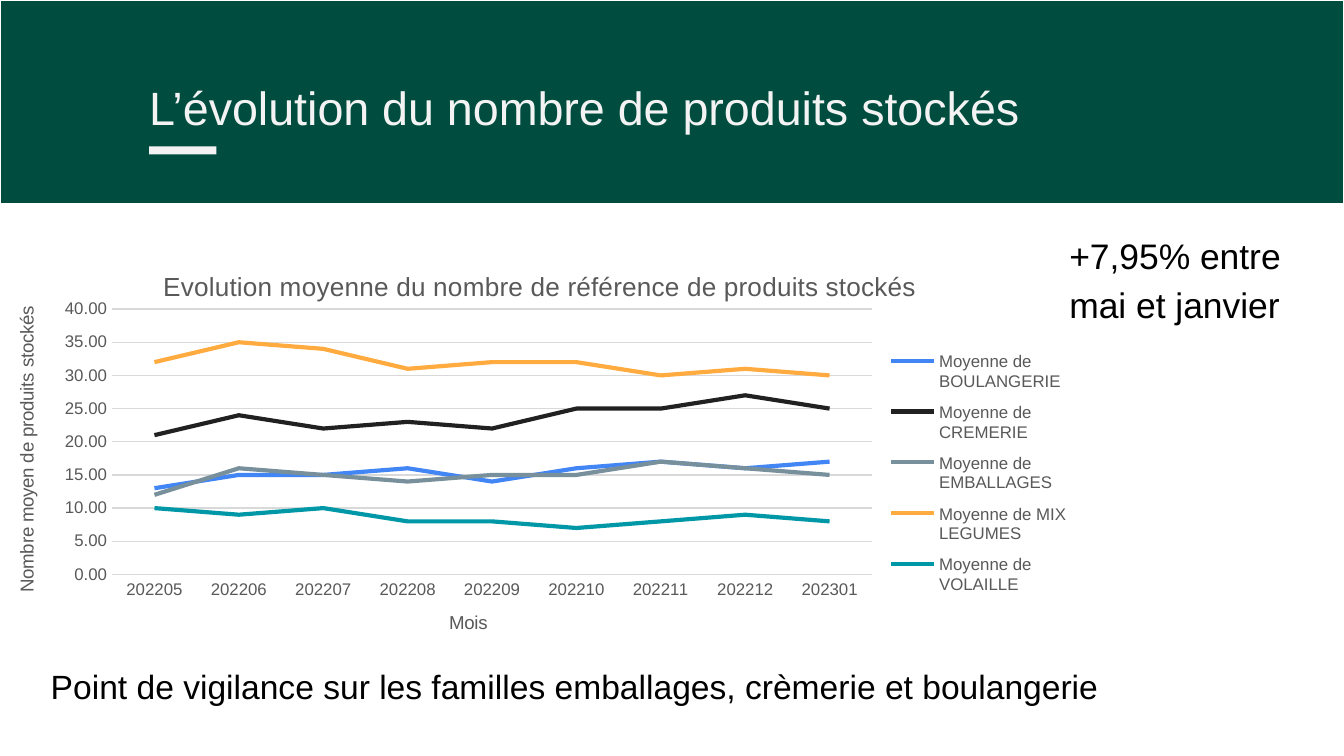
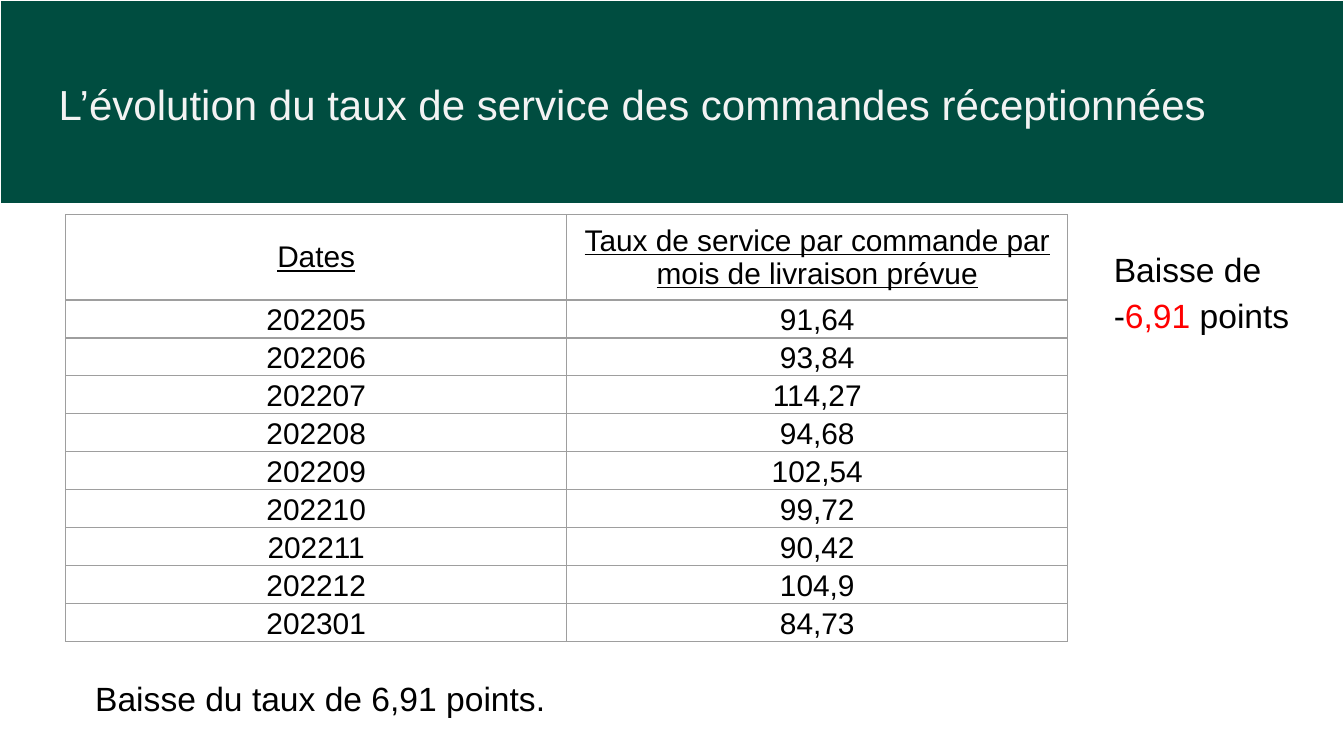
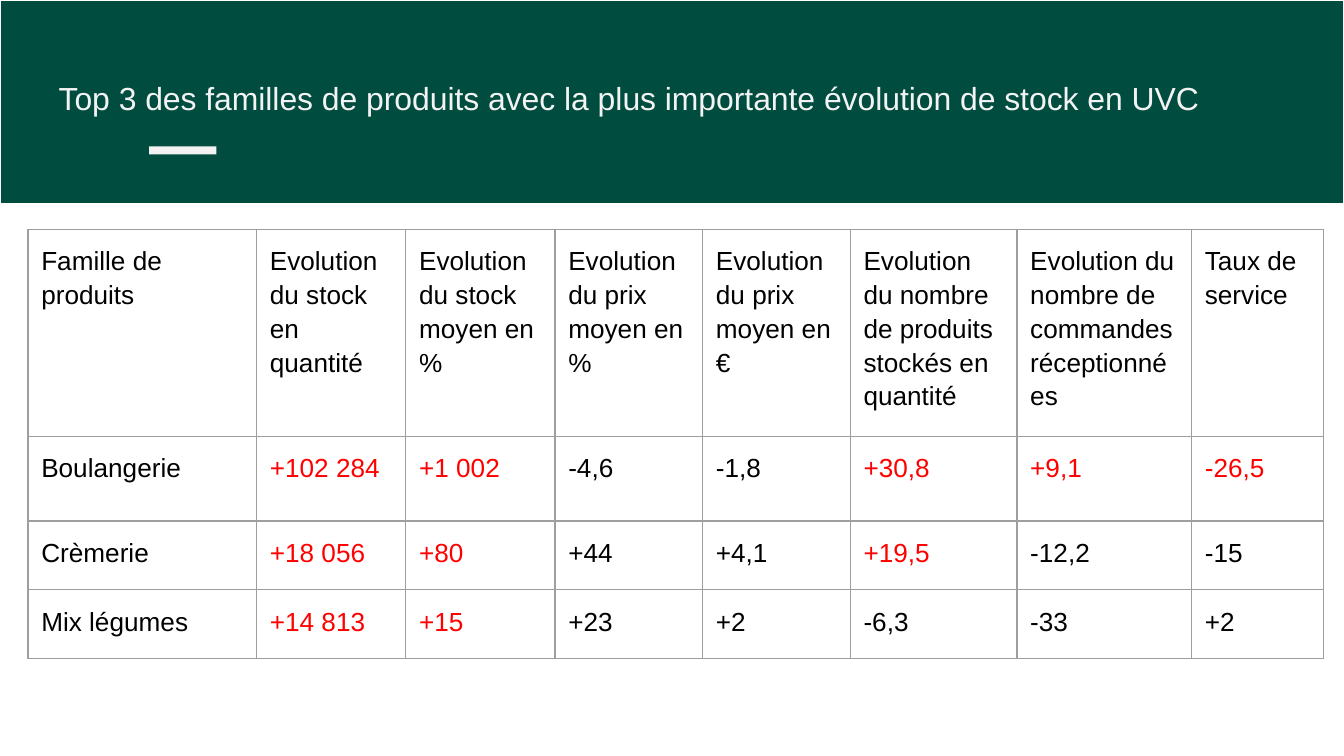
from lxml.etree import SubElement
from pptx import Presentation
from pptx.chart.data import CategoryChartData
from pptx.dml.color import RGBColor
from pptx.enum.chart import XL_CHART_TYPE, XL_LEGEND_POSITION, XL_TICK_MARK
from pptx.enum.shapes import MSO_SHAPE
from pptx.enum.text import MSO_ANCHOR, PP_ALIGN
from pptx.oxml.ns import qn
from pptx.util import Cm, Pt

GREEN = RGBColor(0x00, 0x4D, 0x40)
WHITE = RGBColor(0xFF, 0xFF, 0xFF)
OFF_WHITE = RGBColor(0xF3, 0xF3, 0xF3)
BLACK = RGBColor(0x00, 0x00, 0x00)
RED = RGBColor(0xFF, 0x00, 0x00)
GREY = RGBColor(0x59, 0x59, 0x59)
GRID = RGBColor(0xD9, 0xD9, 0xD9)
BORDER = RGBColor(0x9E, 0x9E, 0x9E)
FONT = "Arial"
INSET = 0.25

MONTHS = ["202205", "202206", "202207", "202208", "202209",
          "202210", "202211", "202212", "202301"]
STOCK_SERIES = [
    ("Moyenne de BOULANGERIE", (13, 15, 15, 16, 14, 16, 17, 16, 17), RGBColor(0x42, 0x85, 0xF4)),
    ("Moyenne de CREMERIE", (21, 24, 22, 23, 22, 25, 25, 27, 25), RGBColor(0x21, 0x21, 0x21)),
    ("Moyenne de EMBALLAGES", (12, 16, 15, 14, 15, 15, 17, 16, 15), RGBColor(0x78, 0x90, 0x9C)),
    ("Moyenne de MIX LEGUMES", (32, 35, 34, 31, 32, 32, 30, 31, 30), RGBColor(0xFF, 0xAB, 0x40)),
    ("Moyenne de VOLAILLE", (10, 9, 10, 8, 8, 7, 8, 9, 8), RGBColor(0x00, 0x97, 0xA7)),
]
SERVICE_HEADERS = ["Dates", "Taux de service par commande par mois de livraison prévue"]
SERVICE_RATES = ["91,64", "93,84", "114,27", "94,68", "102,54",
                 "99,72", "90,42", "104,9", "84,73"]
FAMILY_HEADERS = [
    "Famille de produits", "Evolution du stock en quantité", "Evolution du stock moyen en %",
    "Evolution du prix moyen en %", "Evolution du prix moyen en €",
    "Evolution du nombre de produits stockés en quantité",
    "Evolution du nombre de commandes réceptionnées", "Taux de service",
]
FAMILIES = [
    (["Boulangerie", "+102 284", "+1 002", "-4,6", "-1,8", "+30,8", "+9,1", "-26,5"],
     {1, 2, 5, 6, 7}),
    (["Crèmerie", "+18 056", "+80", "+44", "+4,1", "+19,5", "-12,2", "-15"], {1, 2, 5}),
    (["Mix légumes", "+14 813", "+15", "+23", "+2", "-6,3", "-33", "+2"], {1, 2}),
]


def style_font(font, size, color):
    """Give a font the deck typeface, a size and a colour."""
    font.name = FONT
    font.size = Pt(size)
    font.color.rgb = color


def add_run(p, text, size, color=BLACK):
    """Append one styled run to a paragraph."""
    r = p.add_run()
    r.text = text
    style_font(r.font, size, color)
    return r


def set_insets(target, inset):
    """Set equal margins on a text frame or a table cell."""
    target.margin_left = target.margin_right = Cm(inset)
    target.margin_top = target.margin_bottom = Cm(inset)


def add_text(s, left, top, width, height, runs, size, spacing=1.15):
    """Add a wrapped one-paragraph text box from (text, colour) runs."""
    tf = s.shapes.add_textbox(Cm(left), Cm(top), Cm(width), Cm(height)).text_frame
    tf.word_wrap = True
    set_insets(tf, INSET)
    p = tf.paragraphs[0]
    p.line_spacing = spacing
    for text, color in runs:
        add_run(p, text, size, color)


def add_bar(s, left, top, width, height, color):
    """Add a plain filled rectangle without outline."""
    sp = s.shapes.add_shape(MSO_SHAPE.RECTANGLE, Cm(left), Cm(top), Cm(width), Cm(height))
    sp.shadow.inherit = False
    sp.fill.solid()
    sp.fill.fore_color.rgb = color
    sp.line.fill.background()
    return sp


def add_header(s, title, size, left=0.86, dash=True):
    """Add the green band, its optional dash and the slide title."""
    band = add_bar(s, 0, 0, 25.4, 3.86, GREEN)
    band.line.color.rgb = WHITE
    band.line.width = Pt(0.75)
    if dash:
        add_bar(s, 2.82, 2.77, 1.27, 0.15, OFF_WHITE)
    add_text(s, left, 1.24, 23.67, 1.6, [(title, OFF_WHITE)], size, 1.0)


def set_borders(cell):
    """Draw a thin grey border on the four sides of a cell."""
    tc_pr = cell._tc.get_or_add_tcPr()
    for side in ("a:lnL", "a:lnR", "a:lnT", "a:lnB"):
        ln = SubElement(tc_pr, qn(side), w=str(Pt(0.75)))
        fill = SubElement(ln, qn("a:solidFill"))
        SubElement(fill, qn("a:srgbClr"), val=str(BORDER))


def add_grid(s, left, top, widths, heights):
    """Add an unfilled bordered table and return it."""
    frame = s.shapes.add_table(len(heights), len(widths), Cm(left), Cm(top),
                               Cm(sum(widths)), Cm(sum(heights)))
    table = frame.table
    table.first_row = table.horz_banding = False
    for column, width in zip(table.columns, widths):
        column.width = Cm(width)
    for row, height in zip(table.rows, heights):
        row.height = Cm(height)
    for cell in table.iter_cells():
        set_borders(cell)
        cell.fill.background()
    return table


def add_service_table(s):
    """Add the monthly service rate table."""
    rows = [SERVICE_HEADERS, *zip(MONTHS, SERVICE_RATES)]
    table = add_grid(s, 1.24, 4.06, [9.47] * 2, [1.53] + [0.68] * len(MONTHS))
    for i, row in enumerate(rows):
        for j, text in enumerate(row):
            cell = table.cell(i, j)
            p = cell.text_frame.paragraphs[0]
            p.alignment = PP_ALIGN.CENTER
            r = add_run(p, text, 16)
            if i == 0:
                r.font.underline = True
                cell.vertical_anchor = MSO_ANCHOR.MIDDLE
            else:
                set_insets(cell, 0.02)
                cell.vertical_anchor = MSO_ANCHOR.BOTTOM


def add_family_table(s):
    """Add the product family table with its alerts in red."""
    widths = [4.32, 2.82, 2.82, 2.79, 2.79, 3.15, 3.3, 2.49]
    table = add_grid(s, 0.53, 4.34, widths, [3.63, 1.6, 1.3, 1.3])
    for i, (row, alerts) in enumerate([(FAMILY_HEADERS, set()), *FAMILIES]):
        for j, text in enumerate(row):
            cell = table.cell(i, j)
            set_insets(cell, INSET)
            p = cell.text_frame.paragraphs[0]
            p.line_spacing = 1.15
            add_run(p, text, 14, RED if j in alerts else BLACK)


def set_layout(parent, index, box, inner=False):
    """Place a chart part by fractions of the chart area."""
    for old in parent.findall(qn("c:layout")):
        parent.remove(old)
    layout = SubElement(parent, qn("c:layout"))
    parent.insert(index, layout)
    manual = SubElement(layout, qn("c:manualLayout"))
    if inner:
        SubElement(manual, qn("c:layoutTarget"), val="inner")
    for tag in ("c:xMode", "c:yMode"):
        SubElement(manual, qn(tag), val="edge")
    for tag, value in zip(("c:x", "c:y", "c:w", "c:h"), box):
        SubElement(manual, qn(tag), val=str(value))


def set_title(owner, text, size):
    """Write the title of a chart or an axis."""
    title = owner.chart_title if hasattr(owner, "chart_title") else owner.axis_title
    p = title.text_frame.paragraphs[0]
    add_run(p, text, size, GREY).font.bold = False


def style_axis(axis, title):
    """Apply the shared axis look and title."""
    axis.major_tick_mark = axis.minor_tick_mark = XL_TICK_MARK.NONE
    style_font(axis.tick_labels.font, 9, GREY)
    set_title(axis, title, 10)


def add_stock_chart(s):
    """Add the line chart of stocked products by family."""
    data = CategoryChartData(number_format="0.00")
    data.categories = MONTHS
    for name, values, _ in STOCK_SERIES:
        data.add_series(name, values)
    chart = s.shapes.add_chart(XL_CHART_TYPE.LINE, Cm(0.1), Cm(4.72), Cm(20.22), Cm(7.49),
                               data).chart
    style_font(chart.font, 10, BLACK)
    chart.has_title = True
    set_title(chart, "Evolution moyenne du nombre de référence de produits stockés", 14)
    plot = chart.plots[0]
    plot.vary_by_categories = False
    for series, (_, _, color) in zip(plot.series, STOCK_SERIES):
        series.smooth = False
        series.format.line.color.rgb = color
        series.format.line.width = Pt(2.25)

    style_axis(chart.category_axis, "Mois")
    axis = chart.value_axis
    style_axis(axis, "Nombre moyen de produits stockés")
    axis.minimum_scale, axis.maximum_scale, axis.major_unit = 0, 40, 5
    axis.tick_labels.number_format = "0.00"
    axis.tick_labels.number_format_is_linked = False
    axis.format.line.fill.background()
    axis.has_major_gridlines = True
    for line in (axis.major_gridlines.format.line, chart.category_axis.format.line):
        line.color.rgb = GRID
        line.width = Pt(0.75)

    chart.has_legend = True
    legend = chart.legend
    legend.position = XL_LEGEND_POSITION.RIGHT
    legend.include_in_layout = False
    style_font(legend.font, 9, GREY)
    set_layout(legend._element, 1, (0.82, 0.23, 0.18, 0.67))
    plot_area = chart._chartSpace.chart.plotArea
    set_layout(plot_area, 0, (0.1, 0.15, 0.71, 0.67), inner=True)


def build_stock_slide(s):
    """Build the slide on the number of stocked products."""
    add_text(s, 0.71, 12.22, 23.83, 2.49, [
        ("Point de vigilance sur les familles emballages, crèmerie et boulangerie", BLACK)], 18)
    add_header(s, "L’évolution du nombre de produits stockés", 25, left=2.57)
    add_text(s, 19.96, 4.06, 5.33, 2.72, [("+7,95% entre mai et janvier", BLACK)], 19)
    add_stock_chart(s)


def build_service_slide(s):
    """Build the slide on the service rate of received orders."""
    add_text(s, 1.55, 12.45, 23.19, 1.85, [("Baisse du taux de 6,91 points.", BLACK)], 18)
    add_text(s, 20.8, 4.34, 4.14, 2.72,
             [("Baisse de -", BLACK), ("6,91", RED), (" points", BLACK)], 18)
    add_header(s, "L’évolution du taux de service des commandes réceptionnées", 22.5, dash=False)
    add_service_table(s)


def build_family_slide(s):
    """Build the slide on the three families with the largest change."""
    add_header(s, "Top 3 des familles de produits avec la plus importante évolution "
                  "de stock en UVC", 17.1)
    add_family_table(s)


def main():
    """Build and save the deck."""
    prs = Presentation()
    prs.slide_width, prs.slide_height = Cm(25.4), Cm(14.29)
    for build in (build_stock_slide, build_service_slide, build_family_slide):
        build(prs.slides.add_slide(prs.slide_layouts[6]))
    prs.save("out.pptx")


if __name__ == "__main__":
    main()
